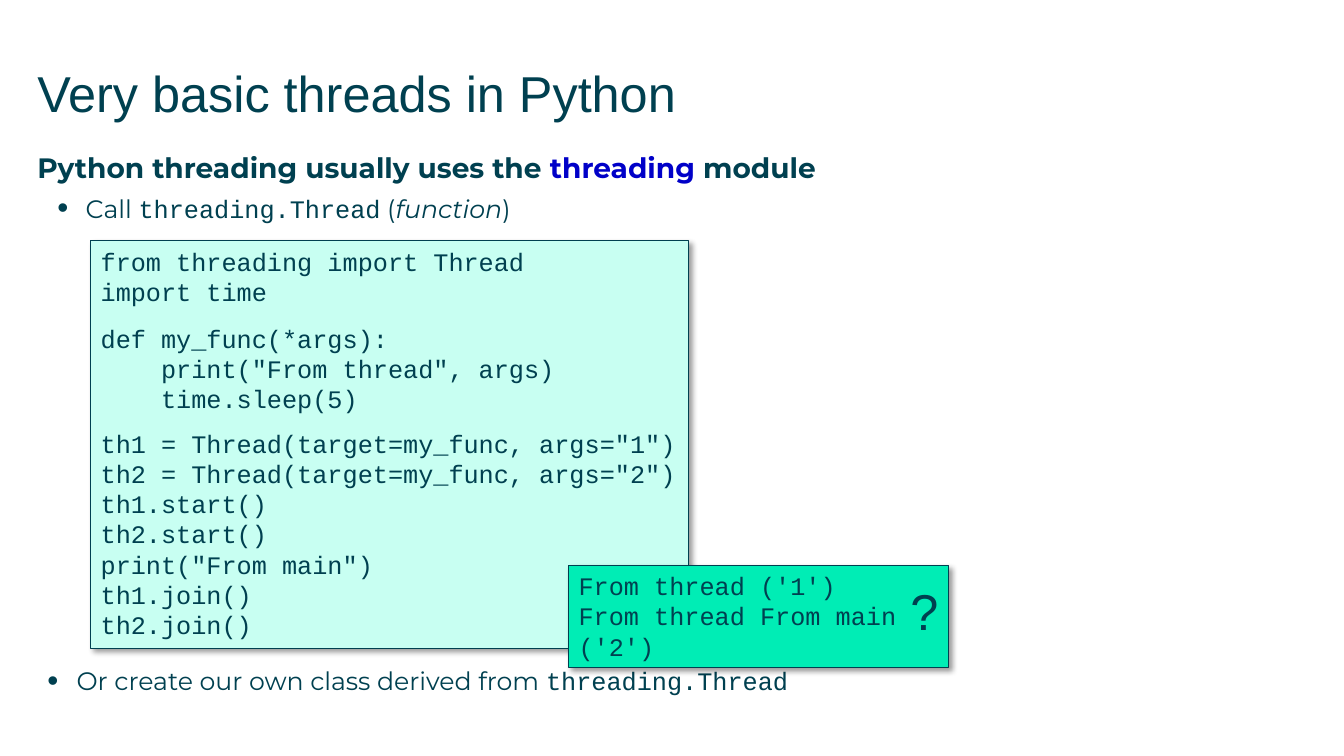
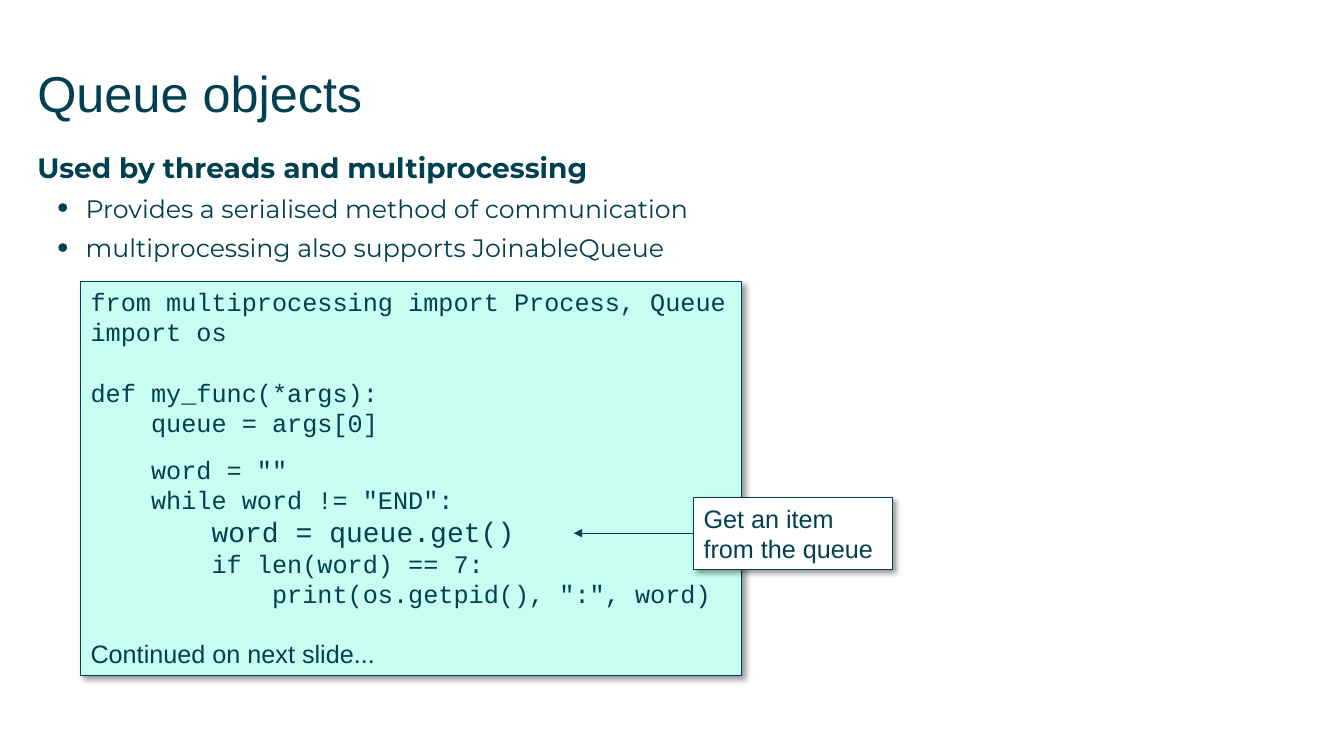
from pptx import Presentation
from pptx.dml.color import RGBColor as Rgb
from pptx.enum.shapes import MSO_CONNECTOR as Link, MSO_SHAPE as Form
from pptx.enum.text import MSO_ANCHOR as Anchor, PP_ALIGN as Align
from pptx.oxml.ns import qn
from pptx.util import Emu, Pt
from lxml.etree import SubElement as Sub

PX = 9144  # EMU per px, 100 px to the inch
INK = {"text": "004050", "key": "0000C8", "code": "C8FFF2",
       "out": "00EDB5", "note": "FFFFFF", "shade": "000000"}
SANS, MONO, BODY = "Arial", "Courier New", "Montserrat"
LEFT, WIDE, TOP = 37, 1260, 149


def px(*nums):
    return [Emu(n * PX) for n in nums]


def tint(name):
    return Rgb.from_string(INK[name])


class Deck:
    def __init__(self):
        self.prs = Presentation()
        self.prs.slide_width, self.prs.slide_height = px(1333, 750)
        self.slide = None

    def page(self, title):
        self.slide = self.prs.slides.add_slide(self.prs.slide_layouts[6])
        frame = self.text(LEFT, 62, WIDE, 60)
        self.para(frame, [(title, {})], size=36)

    def text(self, x, y, w, h, pad=False):
        frame = self.slide.shapes.add_textbox(*px(x, y, w, h)).text_frame
        frame.word_wrap = True
        if not pad:
            frame.margin_left = frame.margin_right = 0
            frame.margin_top = frame.margin_bottom = 0
        return frame

    def para(self, frame, runs, before=0, after=0, dent=None, **base):
        """Add a paragraph; base holds the font, each run its own changes."""
        first = frame.paragraphs[0]
        par = first if not first.runs else frame.add_paragraph()
        par.alignment = Align.LEFT
        if dent:
            edge, hang = px(*dent)
            par.level = 1
            props = par._p.get_or_add_pPr()
            props.set("marL", str(edge))
            props.set("indent", str(-hang))
            Sub(props, qn("a:buSzPct"), val="125000")
            Sub(props, qn("a:buFont"), typeface=SANS)
            Sub(props, qn("a:buChar"), char="•")
        if before:
            par.space_before = Pt(before)
        if after:
            par.space_after = Pt(after)
        for words, own in runs:
            look = {"face": SANS, "size": 18, "ink": "text", **base, **own}
            run = par.add_run()
            run.text = words
            font = run.font
            font.name, font.size = look["face"], Pt(look["size"])
            font.bold = look.get("bold", False)
            font.italic = look.get("italic", False)
            font.color.rgb = tint(look["ink"])

    def head(self, frame, *runs):
        self.para(frame, runs, after=6.5, face=BODY, size=20, bold=True)

    def point(self, frame, *runs, dent=(48, 28)):
        self.para(frame, runs, after=6.5, dent=dent, face=BODY)

    def panel(self, x, y, w, h, fill, wrap=False):
        """Add a thin-edged box with a soft shadow and return its text frame."""
        box = self.slide.shapes.add_shape(Form.RECTANGLE, *px(x, y, w, h))
        box.fill.solid()
        box.fill.fore_color.rgb = tint(fill)
        box.line.color.rgb = tint("text")
        box.line.width = Pt(0.75)
        box.shadow.inherit = False
        glow = Sub(box._element.spPr.find(qn("a:effectLst")), qn("a:outerShdw"),
                   blurRad=str(Pt(4)), dist=str(Pt(3)), dir="2700000",
                   algn="tl", rotWithShape="0")
        shade = Sub(glow, qn("a:srgbClr"), val=INK["shade"])
        Sub(shade, qn("a:alpha"), val="40000")
        frame = box.text_frame
        frame.word_wrap = wrap
        frame.vertical_anchor = Anchor.TOP
        return frame

    def code(self, frame, block, before=0):
        """Add one paragraph per line, with a gap above the first."""
        for row, words in enumerate(block.split("\n")):
            self.para(frame, [(words, {})], 0 if row else before, face=MONO)

    def arrow(self, x1, y1, x2, y2):
        link = self.slide.shapes.add_connector(Link.STRAIGHT, *px(x1, y1, x2, y2))
        link.line.color.rgb = tint("text")
        link.line.width = Pt(0.75)
        Sub(link.line._get_or_add_ln(), qn("a:tailEnd"), type="triangle")
        Sub(link._element.spPr, qn("a:effectLst"))


def threads(deck):
    deck.page("Very basic threads in Python")
    mono = {"face": MONO}
    body = deck.text(LEFT, TOP, WIDE, 80)
    deck.head(body, ("Python threading usually uses the ", {}),
              ("threading", {"ink": "key"}), (" module", {}))
    deck.point(body, ("Call ", {}), ("threading.Thread", mono), (" (", {}),
               ("function", {"italic": True}), (")", {}))
    last = deck.text(LEFT, 660, WIDE, 31)
    deck.point(last, ("Or create our own class derived from ", {}),
               ("threading.Thread", mono), dent=(39, 29))

    box = deck.panel(90, 239, 593, 404, "code")
    deck.code(box, "from threading import Thread\nimport time")
    deck.code(box, """def my_func(*args):
    print("From thread", args)
    time.sleep(5)""", before=12)
    deck.code(box, """th1 = Thread(target=my_func, args="1")
th2 = Thread(target=my_func, args="2")
th1.start()
th2.start()
print("From main")
th1.join()
th2.join()""", before=10)

    out = deck.panel(564, 561, 377, 101, "out", wrap=True)
    deck.code(out, "From thread ('1')\nFrom thread From main\n('2')")
    mark = deck.text(893, 571, 48, 70, pad=True)
    deck.para(mark, [("?", {})], size=36)


def queues(deck):
    deck.page("Queue objects")
    body = deck.text(LEFT, TOP, WIDE, 120)
    deck.head(body, ("Used by threads and multiprocessing", {}))
    for words in ("Provides a serialised method of communication",
                  "multiprocessing also supports JoinableQueue"):
        deck.point(body, (words, {}))

    box = deck.panel(80, 279, 656, 391, "code")
    deck.code(box, "from multiprocessing import Process, Queue\nimport os")
    deck.code(box, "def my_func(*args):\n    queue = args[0]", before=21.6)
    deck.code(box, '    word = ""\n    while word != "END":', before=12)
    deck.para(box, [("        ", {}), ("word = queue.get()", {"size": 20})],
              face=MONO)
    deck.code(box, """        if len(word) == 7:
            print(os.getpid(), ":", word)""")
    deck.para(box, [("Continued on next slide...", {})], before=21)

    note = deck.panel(688, 494, 197, 71, "note", wrap=True)
    deck.para(note, [("Get an item from the queue", {})])
    deck.arrow(688, 529, 569, 529)


def main():
    deck = Deck()
    threads(deck)
    queues(deck)
    deck.prs.save("out.pptx")


if __name__ == "__main__":
    main()
